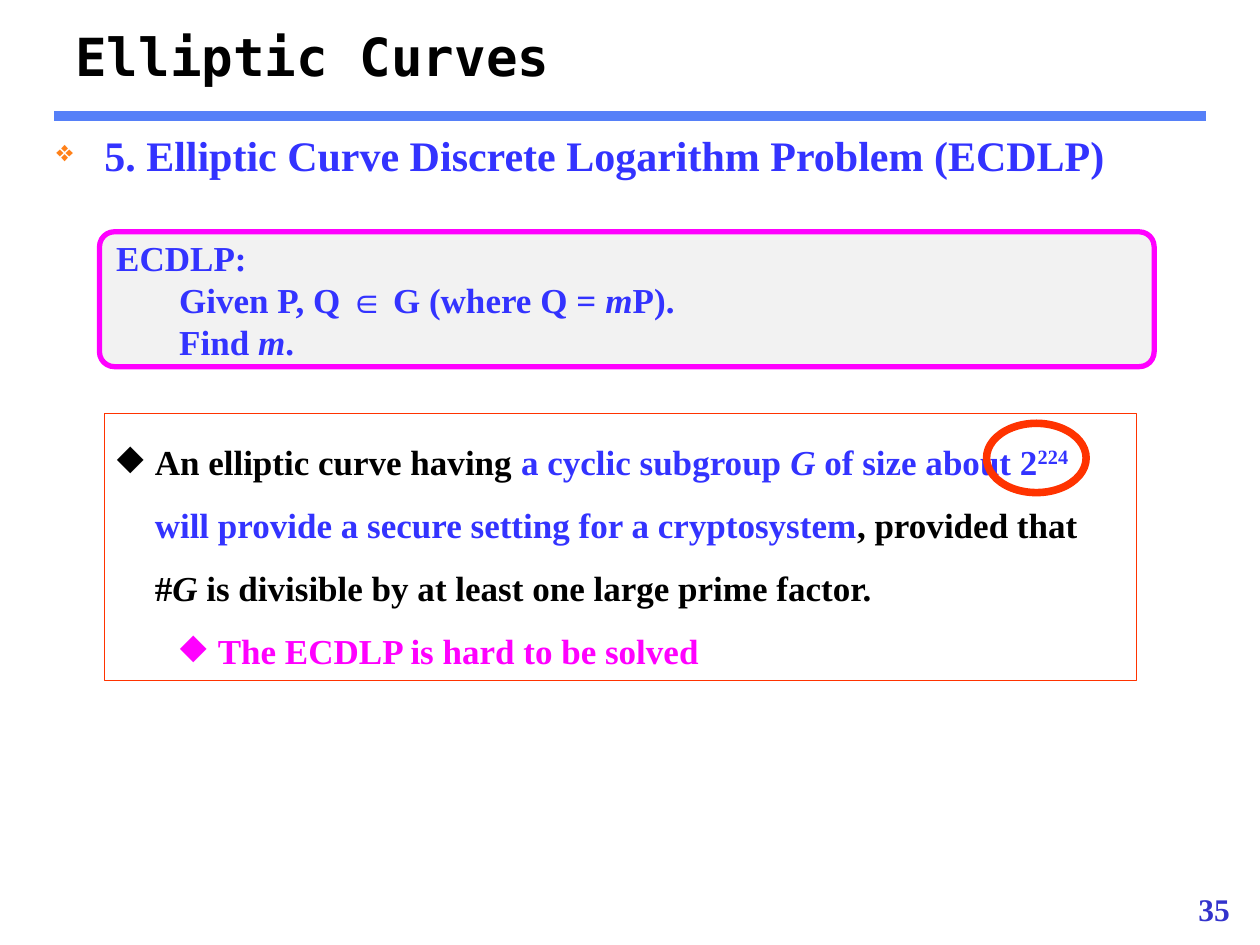
from lxml.etree import SubElement
from pptx import Presentation
from pptx.dml.color import RGBColor
from pptx.enum.shapes import MSO_CONNECTOR, MSO_SHAPE
from pptx.enum.text import MSO_ANCHOR, PP_ALIGN
from pptx.oxml.ns import qn
from pptx.util import Inches, Pt

THEME = {
    "black": "000000", "blue": "3333FF", "magenta": "FF00FF", "red": "FF3300",
    "rule": "5680F8", "number": "3333CC", "marker": "FF8119", "panel": "F2F2F2",
    "title_size": 30, "heading_size": 24, "body_size": 20, "number_size": 18,
    "body_font": "Times New Roman", "title_font": "DejaVu Sans Mono",
}
COLUMNS, ROWS = 100, 75

deck = Presentation()
deck.slide_width, deck.slide_height = Inches(10), Inches(7.5)
slide = deck.slides.add_slide(deck.slide_layouts[6])


def grid(left, top, width, height):
    column, row = deck.slide_width / COLUMNS, deck.slide_height / ROWS
    return round(left * column), round(top * row), round(width * column), round(height * row)


def write(shape, text, size=THEME["body_size"], color="black", font=THEME["body_font"],
          anchor=MSO_ANCHOR.TOP, align=PP_ALIGN.LEFT, spacing=None, before=None,
          bullet=None, bullet_color=None, bullet_share=100, indent=0, hanging=0, level=0):
    frame = shape.text_frame
    frame.word_wrap = True
    frame.vertical_anchor = anchor
    paragraph = frame.paragraphs[0]
    if paragraph.runs:
        paragraph = frame.add_paragraph()
    paragraph.alignment, paragraph.level = align, level
    paragraph.line_spacing, paragraph.space_before = spacing, before
    if bullet:
        properties = paragraph._p.get_or_add_pPr()
        properties.set("marL", str(Inches(indent)))
        properties.set("indent", str(-Inches(hanging)))
        tint = SubElement(properties, qn("a:buClr"))
        SubElement(tint, qn("a:srgbClr"), val=THEME[bullet_color or color])
        SubElement(properties, qn("a:buSzPct"), val=str(bullet_share * 1000))
        SubElement(properties, qn("a:buChar"), char=bullet)
    for words, style in text:
        run = paragraph.add_run()
        run.text = words
        run.font.name, run.font.size, run.font.bold = font, Pt(size), True
        run.font.italic = "italic" in style
        run.font.color.rgb = RGBColor.from_string(THEME["blue" if "blue" in style else color])
        if "super" in style:
            run._r.get_or_add_rPr().set("baseline", "30000")


left, top, width, height = grid(4.3, 9.2, 91.4, 0)
title_rule = slide.shapes.add_connector(MSO_CONNECTOR.STRAIGHT, left, top, left + width, top)
title_rule.line.color.rgb = RGBColor.from_string(THEME["rule"])
title_rule.line.width = Pt(5.75)
SubElement(title_rule._element.spPr, qn("a:effectLst"))

title = slide.shapes.add_textbox(*grid(5, -0.2, 90, 9.3))
write(title, [("Elliptic Curves", "")], size=THEME["title_size"],
      font=THEME["title_font"], anchor=MSO_ANCHOR.MIDDLE)

page_number = slide.shapes.add_textbox(*grid(87.8, 70.1, 10.8, 4))
write(page_number, [("35", "")], size=THEME["number_size"], color="number",
      anchor=MSO_ANCHOR.BOTTOM, align=PP_ALIGN.RIGHT)

heading = slide.shapes.add_textbox(*grid(3.5, 8.4, 91.3, 65.1))
write(heading, [("5. Elliptic Curve Discrete Logarithm Problem (ECDLP)", "")],
      size=THEME["heading_size"], color="blue", spacing=1.35, before=Pt(5),
      bullet="❖", bullet_color="marker", bullet_share=70, indent=0.38, hanging=0.38)

outlined = []
for preset, cells, fill, outline, weight in [
    (MSO_SHAPE.RECTANGLE, (8.3, 32.8, 81.9, 21.2), None, "red", 0.75),
    (MSO_SHAPE.OVAL, (78.3, 33.6, 7.9, 5.5), None, "red", 4.33),
    (MSO_SHAPE.ROUNDED_RECTANGLE, (7.9, 18.4, 83.7, 10.7), "panel", "magenta", 3),
]:
    shape = slide.shapes.add_shape(preset, *grid(*cells))
    shape.shadow.inherit = False
    if fill:
        shape.fill.solid()
        shape.fill.fore_color.rgb = RGBColor.from_string(THEME[fill])
    else:
        shape.fill.background()
    shape.line.color.rgb = RGBColor.from_string(THEME[outline])
    shape.line.width = Pt(weight)
    outlined.append(shape)
security_note, size_marker, problem = outlined
problem.adjustments[0] = 0.11

write(security_note, [
    ("An elliptic curve having ", ""),
    ("a cyclic subgroup ", "blue"),
    ("G", "blue italic"),
    (" of size about 2", "blue"),
    ("224", "blue super"),
    (" will provide a secure setting for a cryptosystem", "blue"),
    (", provided that #", ""),
    ("G", "italic"),
    (" is divisible by at least one large prime factor.", ""),
], spacing=1.5, bullet="◆", indent=0.3, hanging=0.3)
write(security_note, [("The ECDLP is hard to be solved", "")], color="magenta",
      spacing=1.5, bullet="◆", indent=0.8, hanging=0.3, level=1)

for statement in [
    [("ECDLP:", "")],
    [("\tGiven P, Q ∈ G (where Q = ", ""), ("m", "italic"), ("P).", "")],
    [("\tFind ", ""), ("m", "italic"), (".", "")],
]:
    write(problem, statement, color="blue", anchor=MSO_ANCHOR.MIDDLE)

deck.save("out.pptx")
